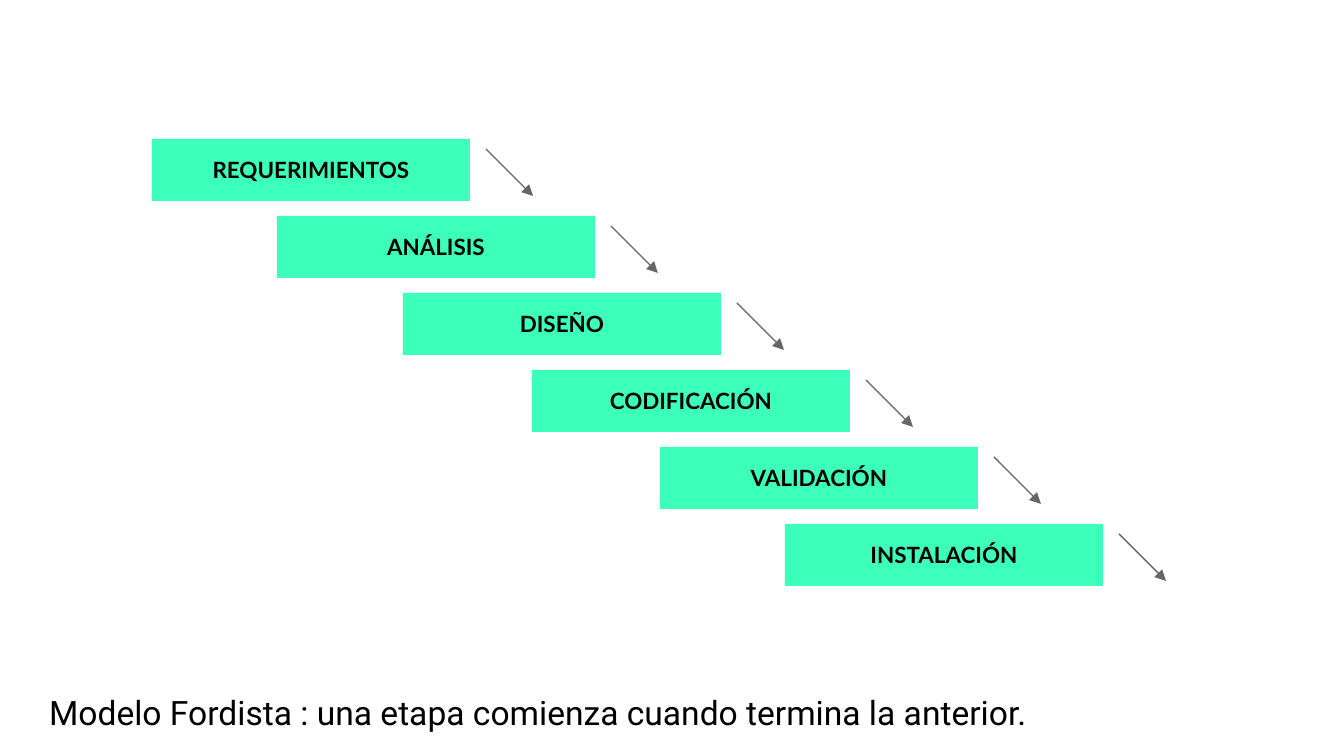
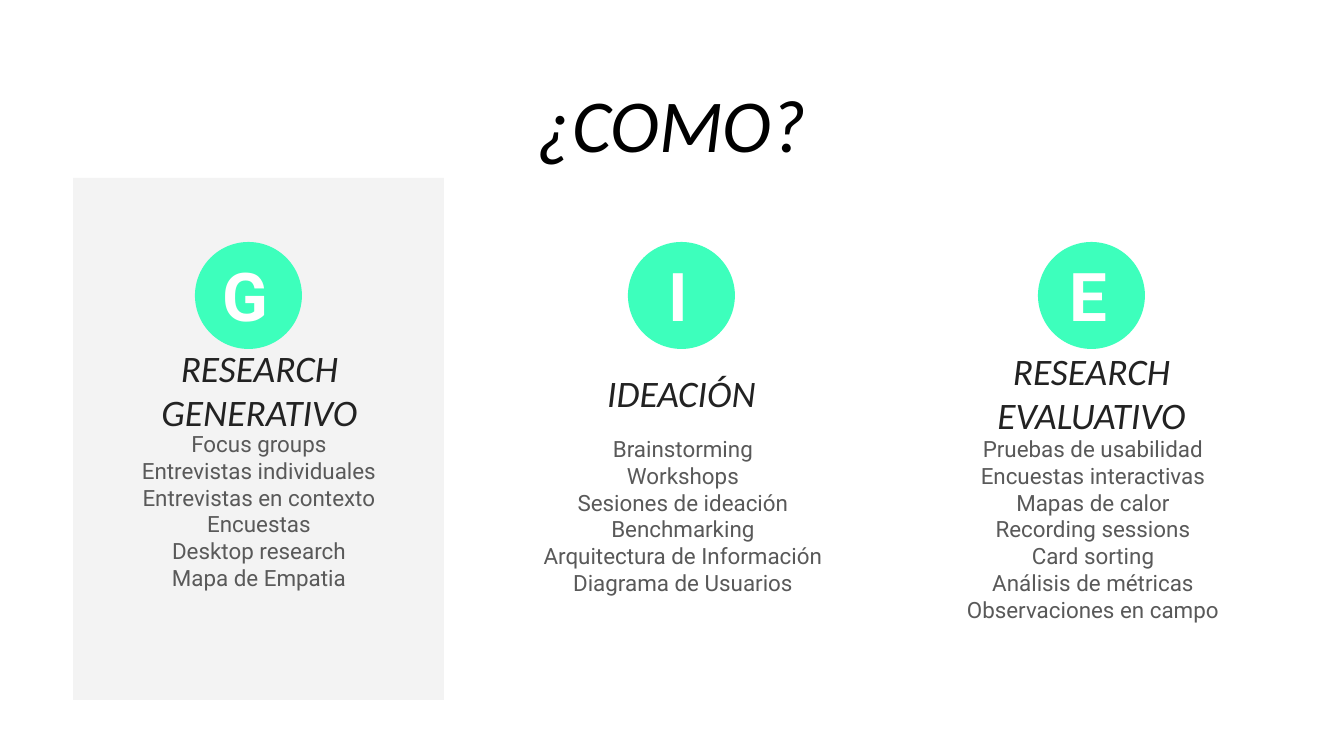
"""Build two slides: a waterfall of stages and three research columns."""
from lxml import etree
from pptx import Presentation
from pptx import util as u
from pptx.dml.color import RGBColor
from pptx.enum import shapes, text
from pptx.oxml import ns

MINT = RGBColor(0x3D, 0xFF, 0xBC)
PALE = RGBColor(0xF3, 0xF3, 0xF3)
BLACK = RGBColor(0, 0, 0)
WHITE = RGBColor(0xFF, 0xFF, 0xFF)
DARK = RGBColor(0x22, 0x22, 0x22)
GREY = RGBColor(0x59, 0x59, 0x59)
ARROW = RGBColor(0x66, 0x66, 0x66)

STAGES = [("REQUERIMIENTOS", 152), ("ANÁLISIS", 277), ("DISEÑO", 403),
          ("CODIFICACIÓN", 532), ("VALIDACIÓN", 660), ("INSTALACIÓN", 785)]
STAGE_TOP, STAGE_STEP, STAGE_W, STAGE_H = 139, 77, 318, 62
ARROW_GAP, ARROW_DROP, ARROW_SIZE = 334, 10, 47
CAPTION = "Modelo Fordista : una etapa comienza cuando termina la anterior."

TITLE = "¿COMO?"
COLUMNS = [
    dict(letter="G", circle=195, name="RESEARCH GENERATIVO", name_at=(86, 349),
         list_at=(67, 429, 384, 163),
         methods=["Focus groups", "Entrevistas individuales",
                  "Entrevistas en contexto", "Encuestas",
                  "Desktop research", "Mapa de Empatia"]),
    dict(letter="E", circle=1038, name="RESEARCH EVALUATIVO", name_at=(918, 352),
         list_at=(892, 415, 402, 228),
         methods=["Pruebas de usabilidad", "Encuestas interactivas",
                  "Mapas de calor", "Recording sessions", "Card sorting",
                  "Análisis de métricas", "Observaciones en campo"]),
    dict(letter="I", circle=628, name="IDEACIÓN", name_at=(508, 352),
         list_at=(482, 429, 402, 173),
         methods=["Brainstorming", "Workshops", "Sesiones de ideación",
                  "Benchmarking", "Arquitectura de Información",
                  "Diagrama de Usuarios"]),
]
NAME_SIZE = (347, 81)
CIRCLE_TOP, CIRCLE_SIZE = 242, 107
LETTER_TOP, LETTER_W, LETTER_H = 261, 99, 67


def px(n):
    return u.Emu(round(n * 914400 / 134.4))


def box(at):
    return [px(n) for n in at]


def write(sp, lines, font, size, color, bold=False, italic=False,
          align=text.PP_ALIGN.CENTER, spacing=None):
    tf = sp.text_frame
    tf.word_wrap = True
    tf.vertical_anchor = text.MSO_ANCHOR.MIDDLE
    tf.margin_left = tf.margin_right = u.Inches(0.1)
    tf.margin_top = tf.margin_bottom = u.Inches(0.1)
    for i, line in enumerate(lines):
        p = tf.add_paragraph() if i else tf.paragraphs[0]
        p.alignment = align
        if spacing:
            p.line_spacing = spacing
        r = p.add_run()
        r.text = line
        r.font.name, r.font.size = font, u.Pt(size)
        r.font.bold, r.font.italic = bold, italic
        r.font.color.rgb = color


def add_text(s, at, lines, *style, **options):
    write(s.shapes.add_textbox(*box(at)), lines, *style, **options)


def add_filled(parent, kind, at, color):
    sp = parent.shapes.add_shape(kind, *box(at))
    sp.shadow.inherit = False
    sp.fill.solid()
    sp.fill.fore_color.rgb = color
    sp.line.fill.background()
    return sp


def add_arrow(parent, x, y):
    ends = box((x, y, x + ARROW_SIZE, y + ARROW_SIZE))
    sp = parent.shapes.add_connector(shapes.MSO_CONNECTOR.STRAIGHT, *ends)
    sp.line.color.rgb = ARROW
    sp.line.width = u.Pt(0.75)
    etree.SubElement(sp.line._get_or_add_ln(), ns.qn("a:tailEnd"), type="triangle")
    etree.SubElement(sp._element.spPr, ns.qn("a:effectLst"))


def add_waterfall(s):
    add_text(s, (36, 668, 1077, 82), [CAPTION], "Roboto", 18, BLACK,
             align=text.PP_ALIGN.LEFT, spacing=1.15)
    for i, (stage, x) in enumerate(STAGES):
        y = STAGE_TOP + i * STAGE_STEP
        group = s.shapes.add_group_shape()
        sp = add_filled(group, shapes.MSO_SHAPE.RECTANGLE,
                        (x, y, STAGE_W, STAGE_H), MINT)
        write(sp, [stage], "Lato", 12, BLACK, bold=True)
        add_arrow(group, x + ARROW_GAP, y + ARROW_DROP)


def add_columns(s):
    add_filled(s, shapes.MSO_SHAPE.RECTANGLE, (73, 178, 371, 522), PALE)
    add_text(s, (125, 67, 1094, 112), [TITLE], "Calibri", 40, BLACK, italic=True)
    for col in COLUMNS:
        x = col["circle"]
        add_text(s, col["name_at"] + NAME_SIZE, [col["name"]],
                 "Calibri", 20, DARK, italic=True)
        add_text(s, col["list_at"], col["methods"], "Roboto", 12, GREY)
        add_filled(s, shapes.MSO_SHAPE.OVAL,
                   (x, CIRCLE_TOP, CIRCLE_SIZE, CIRCLE_SIZE), MINT)
        add_text(s, (x + 1, LETTER_TOP, LETTER_W, LETTER_H), [col["letter"]],
                 "Roboto", 36, WHITE, bold=True)


def main():
    prs = Presentation()
    prs.slide_width, prs.slide_height = px(1344), px(756)
    for fill_slide in (add_waterfall, add_columns):
        fill_slide(prs.slides.add_slide(prs.slide_layouts[6]))
    prs.save("out.pptx")


if __name__ == "__main__":
    main()
